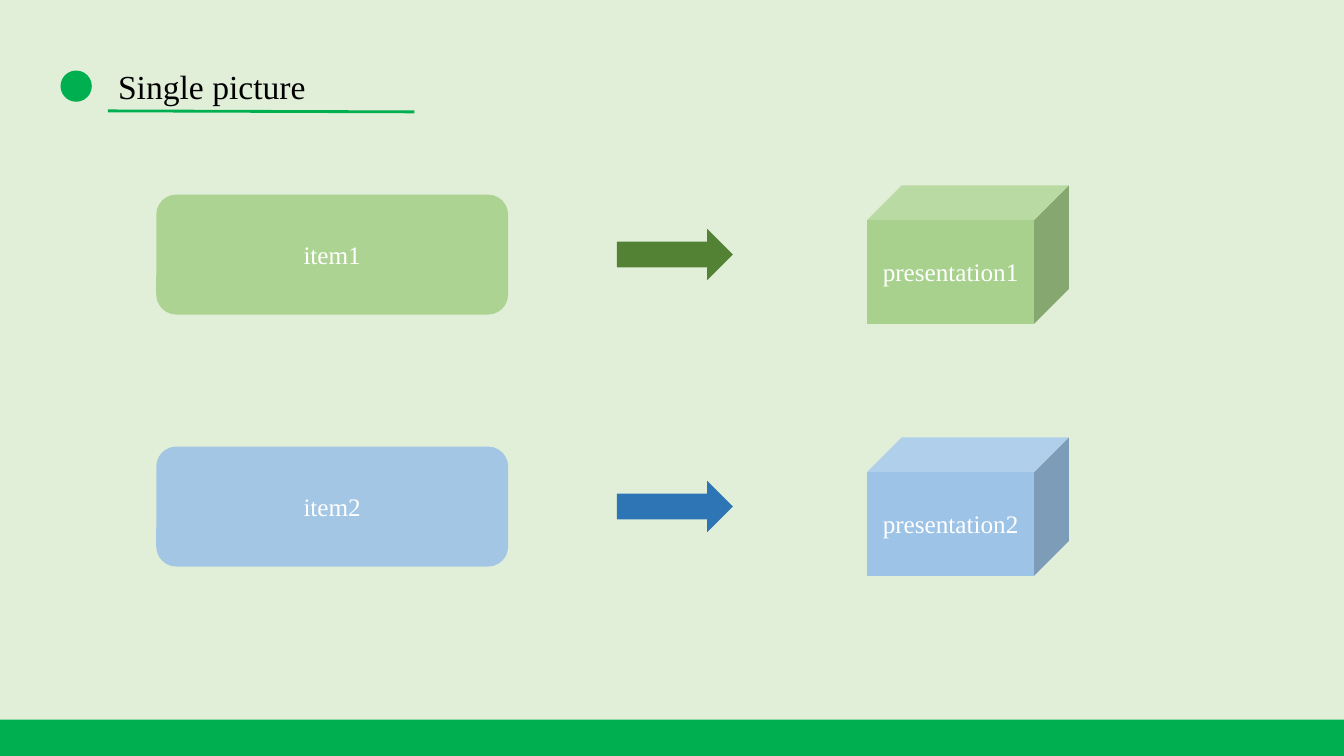
"""Build a slide that pairs two items with their presentations."""
from lxml.etree import SubElement
from pptx import Presentation
from pptx.dml.color import RGBColor
from pptx.enum.shapes import MSO_CONNECTOR as Connector, MSO_SHAPE as Shape
from pptx.enum.text import MSO_ANCHOR as Anchor, MSO_AUTO_SIZE as AutoSize, PP_ALIGN as Align
from pptx.oxml.ns import qn
from pptx.util import Inches, Pt

COLORS = {
    "background": "E1EFD8",
    "accent": "00B050",
    "black": "000000",
    "white": "FFFFFF",
    "green": "A9D18E",
    "dark green": "548235",
    "blue": "9DC3E6",
    "dark blue": "2E75B6",
}


class SlideBuilder:
    """Hold the style and the slide, placing elements by percent of its size."""

    font = "Times New Roman"

    def __init__(self, presentation):
        """Add a slide that has a title and a plain background."""
        self.width = presentation.slide_width
        self.height = presentation.slide_height
        self.slide = presentation.slides.add_slide(presentation.slide_layouts[5])
        self.paint(self.slide.background.fill, "background")

    def paint(self, fill, color):
        """Give a fill one solid colour."""
        fill.solid()
        fill.fore_color.rgb = RGBColor.from_string(COLORS[color])

    def place(self, left, top, width, height):
        """Turn shares of the slide, in percent, into lengths."""
        return (int(self.width * left / 100), int(self.height * top / 100),
                int(self.width * width / 100), int(self.height * height / 100))

    def add_text(self, shape, text, size, color, align, anchor):
        """Put one styled run into a shape."""
        frame = shape.text_frame
        frame.word_wrap = True
        frame.auto_size = AutoSize.NONE
        frame.vertical_anchor = anchor
        paragraph = frame.paragraphs[0]
        paragraph.alignment = align
        run = paragraph.add_run()
        run.text = text
        run.font.name = self.font
        run.font.size = Pt(size)
        run.font.color.rgb = RGBColor.from_string(COLORS[color])

    def title(self, text, *area):
        """Move and fill the title placeholder."""
        title = self.slide.shapes.title
        title.left, title.top, title.width, title.height = self.place(*area)
        self.add_text(title, text, 24, "black", Align.LEFT, Anchor.TOP)

    def shape(self, kind, color, *area, text=None, opacity=100):
        """Add a filled shape without outline, with centred text if given."""
        shape = self.slide.shapes.add_shape(kind, *self.place(*area))
        shape.shadow.inherit = False
        shape.line.fill.background()
        self.paint(shape.fill, color)
        if opacity < 100:
            rgb = shape._element.spPr.find(qn("a:solidFill"))[0]
            SubElement(rgb, qn("a:alpha")).set("val", str(opacity * 1000))
        if text:
            self.add_text(shape, text, 18, "white", Align.CENTER, Anchor.MIDDLE)

    def centred(self, kind, color, left, middle, width, height, **options):
        """Add a shape whose vertical middle lies on a given row."""
        self.shape(kind, color, left, middle - height / 2, width, height, **options)

    def line(self, color, points, *ends):
        """Add a straight line between two points."""
        line = self.slide.shapes.add_connector(Connector.STRAIGHT, *self.place(*ends))
        line.line.color.rgb = RGBColor.from_string(COLORS[color])
        line.line.width = Pt(points)
        SubElement(line._element.spPr, qn("a:effectLst"))


def main():
    """Draw the heading, the footer bar and the two rows."""
    presentation = Presentation()
    presentation.slide_width = Inches(13.33)
    presentation.slide_height = Inches(7.5)
    builder = SlideBuilder(presentation)

    builder.shape(Shape.RECTANGLE, "accent", 0, 95.2, 100, 4.8)
    builder.title("Single picture", 8.03, 8, 52.8, 6.67)
    builder.shape(Shape.OVAL, "accent", 4.5, 9.33, 2.33, 4.13)
    builder.line("accent", 2, 8.03, 14.67, 30.83, 14.8)

    for number, color in enumerate(("green", "blue"), start=1):
        middle = 33.67 + (number - 1) * 100 / 3
        builder.centred(Shape.ROUNDED_RECTANGLE, color, 11.63, middle, 26.18, 15.87,
                        text=f"item{number}", opacity=92)
        builder.centred(Shape.RIGHT_ARROW, f"dark {color}", 45.91, middle, 8.63, 6.8)
        builder.centred(Shape.CUBE, color, 64.52, middle, 15, 18.27,
                        text=f"presentation{number}")

    presentation.save("out.pptx")


if __name__ == "__main__":
    main()
